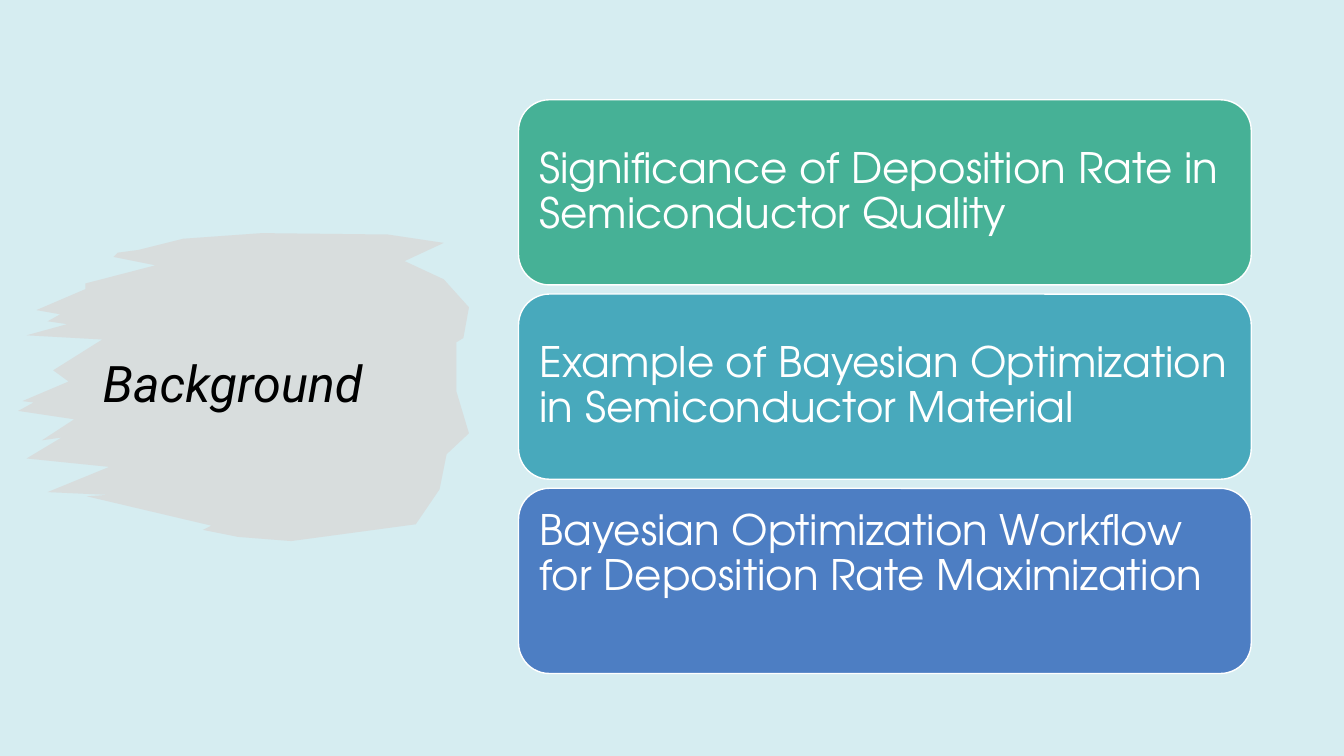
from itertools import chain
from lxml.etree import SubElement
from pptx import Presentation
from pptx.dml.color import RGBColor
from pptx.enum.shapes import MSO_SHAPE
from pptx.enum.text import MSO_ANCHOR, PP_ALIGN
from pptx.oxml.ns import qn
from pptx.util import Pt

PALE = RGBColor(0xD6, 0xED, 0xF1)
GRAY = RGBColor(0xD9, 0xD9, 0xD9)
BLACK = RGBColor(0, 0, 0)
WHITE = RGBColor(0xFF, 0xFF, 0xFF)
GREEN = RGBColor(0x46, 0xB1, 0x96)
TEAL = RGBColor(0x48, 0xA9, 0xBC)
BLUE = RGBColor(0x4D, 0x7E, 0xC3)

# Sides of the brush stroke, clockwise, in points from its box corner
TOP = [(86, 12), (118, 4), (174, 0), (264, 1), (304, 7)]
RIGHT = [(276, 20), (304, 33), (322, 53), (318, 75), (313, 78),
         (313, 113), (322, 143), (306, 158), (301, 183), (284, 208)]
BOTTOM = [(195, 220), (157, 217), (132, 212), (138, 209)]
# Bristles on the left, from the lowest up: (tip, notch above it)
BRISTLES = [
    ((49, 188), (64, 187)), ((21, 185), (65, 167)),
    ((6, 161), (31, 146)), ((17, 148), (40, 133)),
    ((0, 127), (11, 121)), ((3, 120), (36, 106)),
    ((25, 98), (60, 76)), ((6, 73), (35, 65)),
    ((21, 63), (30, 58)), ((13, 55), (48, 40)),
    ((48, 36), (98, 23)), ((68, 17), (71, 14)),
]

# Text, fill, and how far the text sits above the middle
CARDS = [
    ("Significance of Deposition Rate in Semiconductor Quality", GREEN, 0),
    ("Example of Bayesian Optimization in Semiconductor Material", TEAL, 0),
    ("Bayesian Optimization Workflow for Deposition Rate Maximization",
     BLUE, 19),
]
PAD = 8.64


def fill_shape(shape, color):
    shape.shadow.inherit = False
    shape.fill.solid()
    shape.fill.fore_color.rgb = color


def set_text(frame, text, face, size, color):
    frame.text = text
    frame.word_wrap = True
    frame.vertical_anchor = MSO_ANCHOR.MIDDLE
    line = frame.paragraphs[0]
    line.alignment = PP_ALIGN.LEFT
    line.line_spacing = 0.9
    line.font.name, line.font.size = face, Pt(size)
    line.font.color.rgb = color
    return line.font


def add_brush(slide, left, top):
    start, *rest = TOP + RIGHT + BOTTOM + list(chain(*BRISTLES))
    pen = slide.shapes.build_freeform(*start, scale=Pt(1))
    pen.add_line_segments(rest, close=True)
    brush = pen.convert_to_shape(Pt(left), Pt(top))
    fill_shape(brush, GRAY)
    brush.line.fill.background()
    # Let a fifth of the background through
    color = next(brush.element.iter(qn("a:srgbClr")))
    SubElement(color, qn("a:alpha"), val="80000")
    return brush


def add_title(slide, left, top, width, height):
    title = slide.shapes.title
    title.left, title.top = Pt(left), Pt(top)
    title.width, title.height = Pt(width), Pt(height)
    font = set_text(title.text_frame, "Background", "Roboto", 36, BLACK)
    font.italic = True
    return title


def add_cards(slide, left, top, width, height, gap):
    step = (height + gap) / len(CARDS)
    for row, (text, color, lift) in enumerate(CARDS):
        card = slide.shapes.add_shape(
            MSO_SHAPE.ROUNDED_RECTANGLE, Pt(left), Pt(top + row * step),
            Pt(width), Pt(step - gap))
        fill_shape(card, color)
        card.line.color.rgb = WHITE
        card.line.width = Pt(1)
        frame = card.text_frame
        frame.margin_left = frame.margin_right = frame.margin_top = Pt(PAD)
        frame.margin_bottom = Pt(PAD + 2 * lift)
        set_text(frame, text, "TeX Gyre Adventor", 30, WHITE)


def main():
    deck = Presentation()
    deck.slide_width, deck.slide_height = Pt(960), Pt(540)
    slide = deck.slides.add_slide(deck.slide_layouts[5])
    slide.background.fill.solid()
    slide.background.fill.fore_color.rgb = PALE

    # Title in front of the brush stroke
    brush = add_brush(slide, 13, 166.5)
    title = add_title(slide, 66.2, 118, 253.4, 316)
    brush.element.addnext(title.element)

    # Topic cards
    add_cards(slide, 370.4, 71.3, 523.4, 409.8, 6.5)
    deck.save("out.pptx")


if __name__ == "__main__":
    main()
